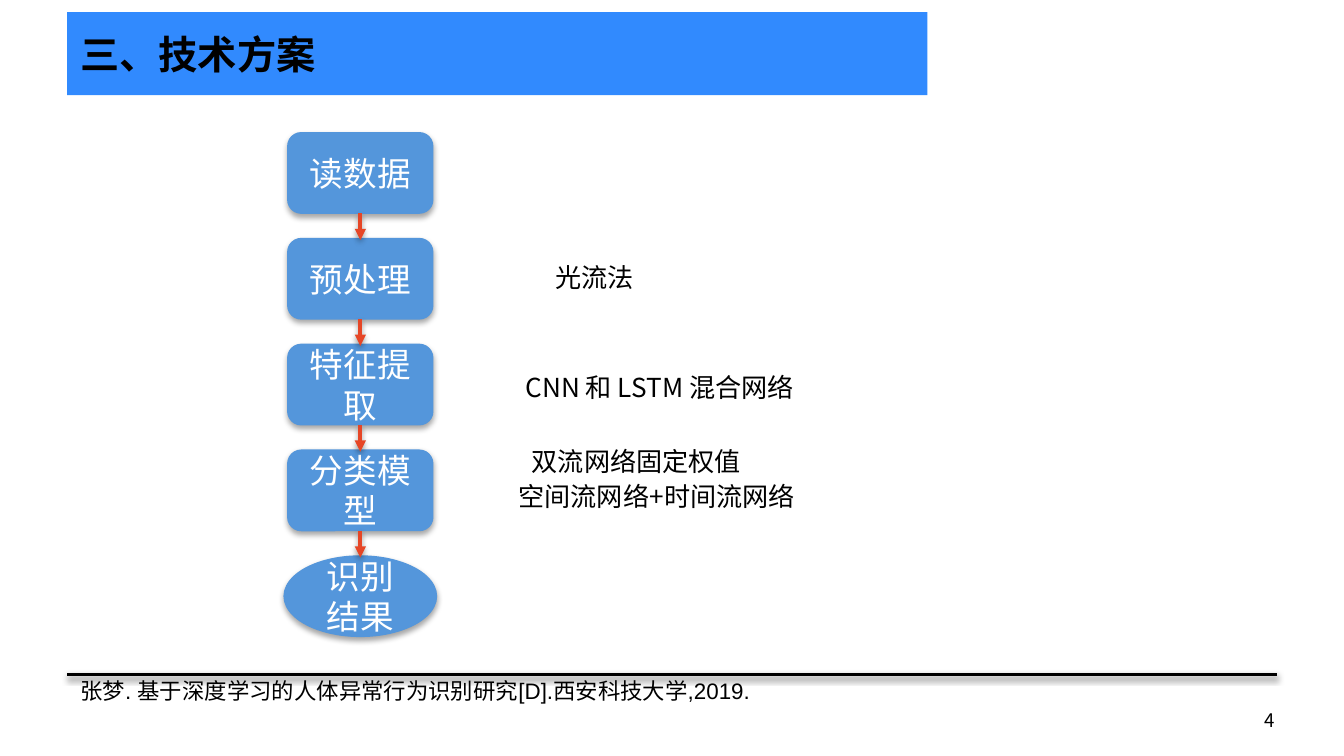
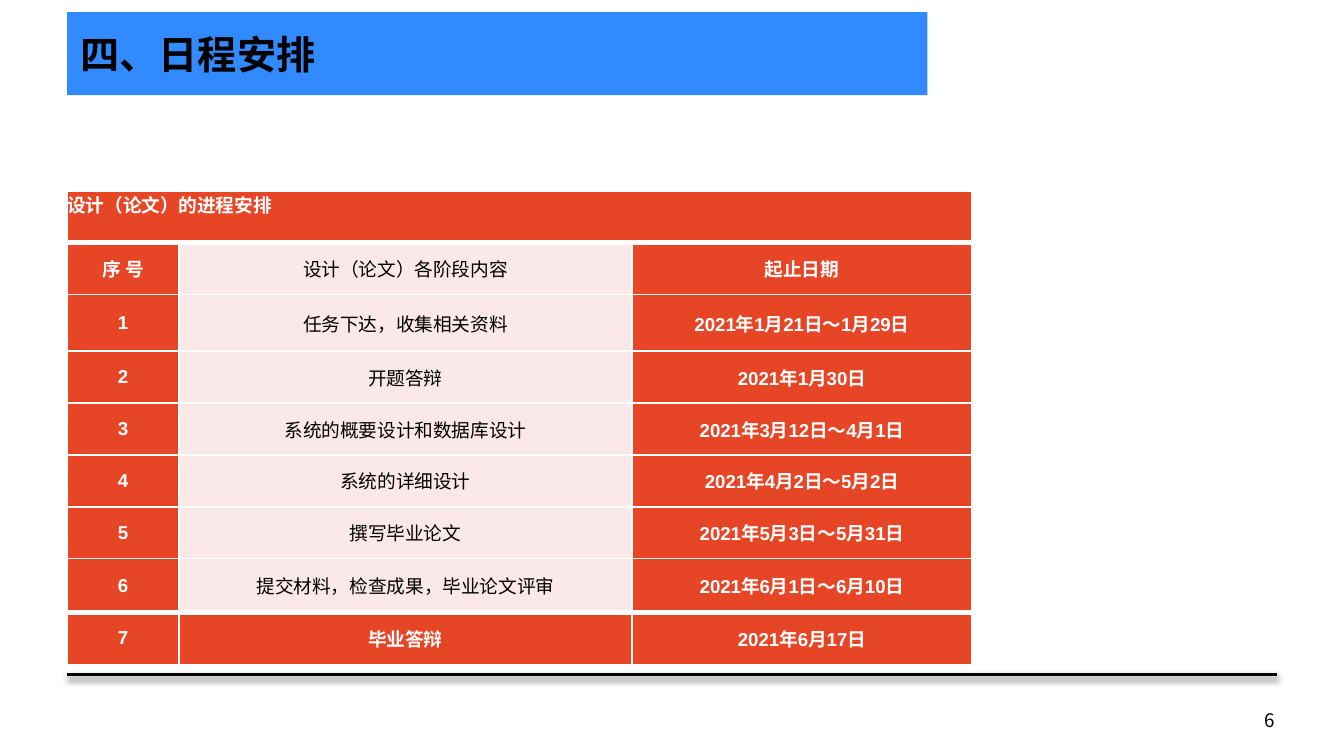
from lxml import etree
from pptx import Presentation
from pptx.dml.color import RGBColor
from pptx.enum.shapes import MSO_CONNECTOR, MSO_SHAPE
from pptx.enum.text import MSO_ANCHOR, PP_ALIGN
from pptx.oxml.ns import qn
from pptx.util import Cm, Pt

BLACK = RGBColor(0x00, 0x00, 0x00)
WHITE = RGBColor(0xFF, 0xFF, 0xFF)
BAND_BLUE = RGBColor(0x31, 0x8A, 0xFE)
STEP_BLUE = RGBColor(0x54, 0x96, 0xDB)
RED = RGBColor(0xE6, 0x46, 0x26)
PALE_RED = RGBColor(0xFA, 0xE9, 0xE8)

CJK_FONT = "Noto Sans CJK SC"
LATIN_FONT = "Arial"
STEP_FONT = "Calibri"

LEFT, CENTER = PP_ALIGN.LEFT, PP_ALIGN.CENTER
RIGHT, JUSTIFY = PP_ALIGN.RIGHT, PP_ALIGN.JUSTIFY
TOP, MIDDLE = MSO_ANCHOR.TOP, MSO_ANCHOR.MIDDLE
RECT, ROUNDED = MSO_SHAPE.RECTANGLE, MSO_SHAPE.ROUNDED_RECTANGLE
OVAL, STRAIGHT = MSO_SHAPE.OVAL, MSO_CONNECTOR.STRAIGHT

MARGIN, CONTENT_WIDTH = 1.27, 22.86

STEPS = ["读数据", "预处理", "特征提取", "分类模型", "识别结果"]
# Text, indent in cm, space before in points
NOTES = [
    ("光流法", 0.69, 0),
    ("CNN 和 LSTM 混合网络", 0.13, 40),
    ("双流网络固定权值", 0.25, 20.5),
    ("空间流网络+时间流网络", 0, 0),
]
CITATION = "张梦. 基于深度学习的人体异常行为识别研究[D].西安科技大学,2019."

SCHEDULE_TITLE = "设计（论文）的进程安排"
SCHEDULE = [
    ("序 号", "设计（论文）各阶段内容", "起止日期"),
    ("1", "任务下达，收集相关资料", "2021年1月21日～1月29日"),
    ("2", "开题答辩", "2021年1月30日"),
    ("3", "系统的概要设计和数据库设计", "2021年3月12日～4月1日"),
    ("4", "系统的详细设计", "2021年4月2日～5月2日"),
    ("5", "撰写毕业论文", "2021年5月3日～5月31日"),
    ("6", "提交材料，检查成果，毕业论文评审", "2021年6月1日～6月10日"),
    ("7", "毕业答辩", "2021年6月17日"),
]
COLUMN_WIDTHS = [2.11, 8.56, 6.43]
ROW_HEIGHTS = [0.98, 0.98, 1.07, 0.98, 0.98, 0.98, 0.98, 1.02, 0.98]


def write(paragraph, text, size, font=CJK_FONT, color=BLACK, bold=False, align=LEFT):
    paragraph.alignment = align
    run = paragraph.add_run()
    run.text = text
    run.font.size = Pt(size)
    run.font.bold = bold
    run.font.color.rgb = color
    run.font.name = font
    etree.SubElement(run.font._element, qn("a:ea"), typeface=CJK_FONT)


def add_text_frame(slide, left, top, width, height, anchor=MIDDLE):
    box = slide.shapes.add_textbox(Cm(left), Cm(top), Cm(width), Cm(height))
    box.text_frame.word_wrap = True
    box.text_frame.vertical_anchor = anchor
    return box.text_frame


def add_shadow(part, distance, opacity):
    """Soft shadow straight below; call it after fill and line are set."""
    effects = etree.SubElement(part._element.spPr, qn("a:effectLst"))
    shadow = etree.SubElement(
        effects, qn("a:outerShdw"), blurRad="40000", dist=str(Pt(distance)),
        dir="5400000", rotWithShape="0")
    tint = etree.SubElement(shadow, qn("a:srgbClr"), val=str(BLACK))
    etree.SubElement(tint, qn("a:alpha"), val=str(opacity * 1000))


def add_line(slide, x1, y1, x2, y2, color, arrow=False):
    line = slide.shapes.add_connector(STRAIGHT, Cm(x1), Cm(y1), Cm(x2), Cm(y2))
    line.line.color.rgb = color
    line.line.width = Pt(2)
    if arrow:
        etree.SubElement(line.line._get_or_add_ln(), qn("a:tailEnd"), type="triangle")
    add_shadow(line, 1.6, 38)


def add_framed_slide(deck, title, page):
    """Blank slide with title band, footer rule and page number."""
    slide = deck.slides.add_slide(deck.slide_layouts[6])
    band = slide.shapes.add_shape(RECT, Cm(MARGIN), Cm(0.23), Cm(16.26), Cm(1.57))
    band.shadow.inherit = False
    band.fill.solid()
    band.fill.fore_color.rgb = BAND_BLUE
    band.line.fill.background()

    number = add_text_frame(slide, 18.42, 13.23, 5.92, 0.76)
    write(number.paragraphs[0], page, 10, align=RIGHT)
    add_line(slide, MARGIN, 12.75, MARGIN + CONTENT_WIDTH, 12.75, BLACK)

    heading = add_text_frame(slide, MARGIN, 0.25, CONTENT_WIDTH, 1.52)
    write(heading.paragraphs[0], title, 21, bold=True)
    return slide


def add_flow(slide, left, top, width, step_height=1.52, pitch=2.0):
    """Column of steps ending in an oval, joined by arrows."""
    last = len(STEPS) - 1
    for i, label in enumerate(STEPS):
        kind, overhang = (OVAL, 0.07) if i == last else (ROUNDED, 0)
        step = slide.shapes.add_shape(
            kind, Cm(left - overhang), Cm(top + i * pitch),
            Cm(width + 2 * overhang), Cm(step_height))
        step.fill.solid()
        step.fill.fore_color.rgb = STEP_BLUE
        step.line.color.rgb = STEP_BLUE
        step.line.width = Pt(0.75)
        add_shadow(step, 1.8, 35)
        step.text_frame.word_wrap = True
        step.text_frame.vertical_anchor = MIDDLE
        write(step.text_frame.paragraphs[0], label, 18, STEP_FONT, WHITE, align=CENTER)

    middle = left + width / 2
    for i in range(last):
        start = top + i * pitch + step_height
        add_line(slide, middle, start, middle, start + 0.51, RED, arrow=True)


def add_notes_beside_flow(slide, left, top, width, height):
    frame = add_text_frame(slide, left, top, width, height, TOP)
    frame.margin_top = Cm(2.73)  # brings the first note level with its step
    for i, (note, indent, gap) in enumerate(NOTES):
        paragraph = frame.add_paragraph() if i else frame.paragraphs[0]
        paragraph.line_spacing = Pt(19)
        paragraph.space_before = Pt(gap)
        paragraph._p.get_or_add_pPr().set("marL", str(Cm(indent)))
        write(paragraph, note, 14)


def add_citation(slide, left, top, width, height):
    frame = add_text_frame(slide, left, top, width, height, TOP)
    frame.margin_top = 0
    write(frame.paragraphs[0], CITATION, 12, LATIN_FONT)


def style_cell(cell, fill, top_border=1, bottom_border=1):
    properties = cell._tc.get_or_add_tcPr()
    for side, width in (("L", 1), ("R", 1), ("T", top_border), ("B", bottom_border)):
        border = etree.SubElement(properties, qn("a:ln" + side), w=str(Pt(width)))
        paint = etree.SubElement(border, qn("a:solidFill"))
        etree.SubElement(paint, qn("a:srgbClr"), val=str(WHITE))
    cell.fill.solid()
    cell.fill.fore_color.rgb = fill
    cell.margin_left = cell.margin_right = cell.margin_top = cell.margin_bottom = 0


def fill_cell(cell, text, color, bold, align, gap):
    paragraph = cell.text_frame.paragraphs[0]
    paragraph.space_before = paragraph.space_after = Pt(gap)
    write(paragraph, text, 10, LATIN_FONT, color, bold, align)


def add_schedule(slide, left, top):
    rows, columns = len(ROW_HEIGHTS), len(COLUMN_WIDTHS)
    table = slide.shapes.add_table(
        rows, columns, Cm(left), Cm(top),
        Cm(sum(COLUMN_WIDTHS)), Cm(sum(ROW_HEIGHTS))).table
    for column, width in zip(table.columns, COLUMN_WIDTHS):
        column.width = Cm(width)
    for row, height in zip(table.rows, ROW_HEIGHTS):
        row.height = Cm(height)

    # Title row across all columns
    for c in range(columns):
        style_cell(table.cell(0, c), RED, bottom_border=3)
    table.cell(0, 0).merge(table.cell(0, columns - 1))
    fill_cell(table.cell(0, 0), SCHEDULE_TITLE, WHITE, True, JUSTIFY, 6)

    # Heading and stages; thick rules set off the title and the last row
    last = rows - 1
    for r, stage in enumerate(SCHEDULE, start=1):
        for c, text in enumerate(stage):
            cell = table.cell(r, c)
            plain = c == 1 and r != last
            style_cell(cell, PALE_RED if plain else RED,
                       top_border=3 if r in (1, last) else 1,
                       bottom_border=3 if r == last - 1 else 1)
            cell.vertical_anchor = MIDDLE
            fill_cell(cell, text, BLACK if plain else WHITE, not plain, CENTER,
                      0 if r == 1 else 6)


def build_solution_slide(deck):
    slide = add_framed_slide(deck, "三、技术方案", "4")
    add_citation(slide, MARGIN, 12.8, CONTENT_WIDTH, 1.12)
    add_flow(slide, 5.44, 2.51, 2.74)
    add_notes_beside_flow(slide, 9.55, 2.13, 11.23, 10.52)


def build_schedule_slide(deck):
    slide = add_framed_slide(deck, "四、日程安排", "6")
    add_schedule(slide, MARGIN, 3.61)


def main():
    deck = Presentation()
    deck.slide_width, deck.slide_height = Cm(25.4), Cm(14.29)
    build_solution_slide(deck)
    build_schedule_slide(deck)
    deck.save("out.pptx")


if __name__ == "__main__":
    main()
